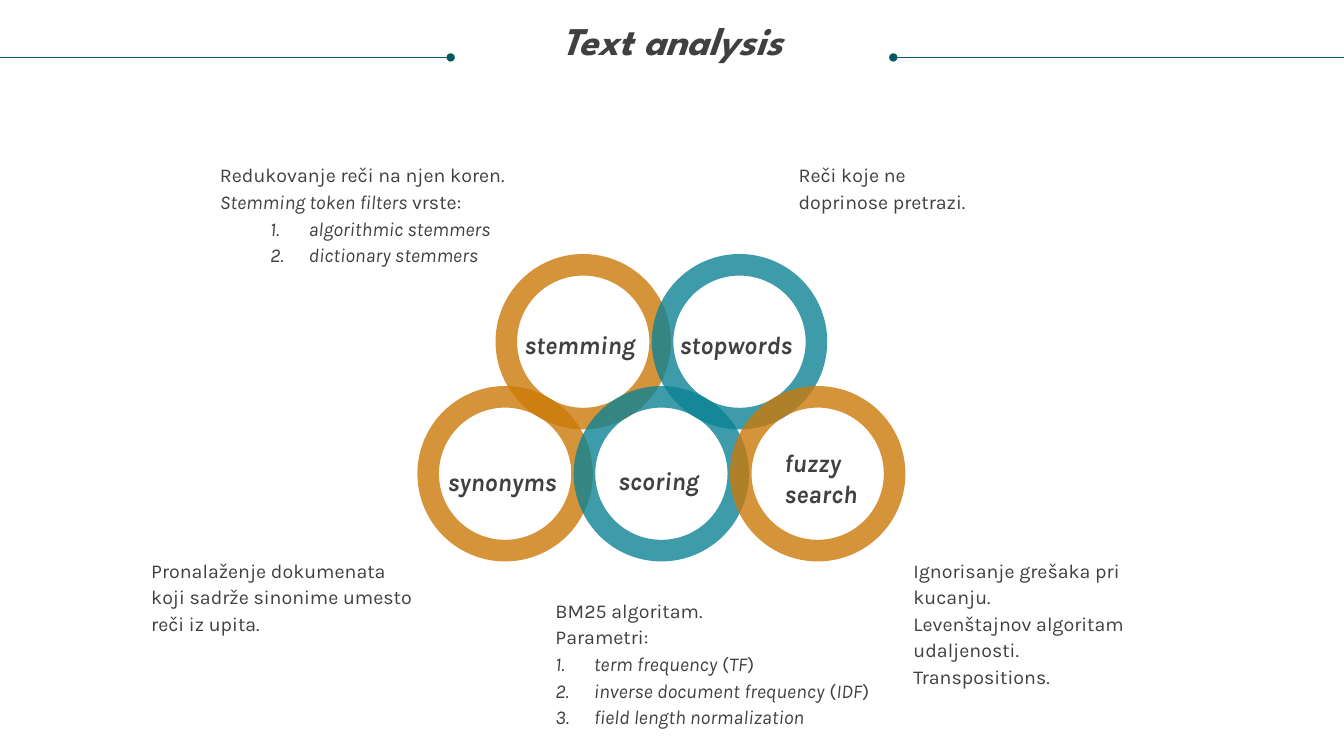
from lxml import etree
from pptx import Presentation
from pptx.dml.color import RGBColor
from pptx.enum.shapes import MSO_CONNECTOR as Connector, MSO_SHAPE as Shape
from pptx.enum.text import MSO_ANCHOR as Anchor, PP_ALIGN as Align
from pptx.oxml.ns import qn
from pptx.util import Inches, Pt

COLORS = {"text": "404040", "line": "085764", "orange": "CB7A09", "teal": "0D8295"}

TITLE = {"name": "League Spartan", "size": Pt(28), "bold": True, "italic": True}
LABEL = {"name": "Karla", "size": Pt(18), "bold": True, "italic": True}
NOTE = {"name": "Karla", "size": Pt(14)}

RING_SIZE, RING_STEP, RING_LEFT = 1.74, 1.55, 4.14
HANGING = 0.38

# top, offset in steps, colours from left to right
RING_ROWS = [
    (2.52, 0.5, ["orange", "teal"]),
    (3.83, 0, ["orange", "teal", "orange"]),
]

# box, line spacing, lines
LABELS = [
    ((5.2, 3.12, 1.2, 0.45), 1.5, ["stemming"]),
    ((6.74, 3.12, 1.2, 0.45), 1.5, ["stopwords"]),
    ((4.44, 4.48, 1.16, 0.45), 1.5, ["synonyms"]),
    ((6.13, 4.47, 0.87, 0.4), 1.5, ["scoring"]),
    ((7.78, 4.44, 0.85, 0.61), 1.0, ["fuzzy", "search"]),
]

# box, plain lines, numbered lines, left margin of the numbered lines;
# asterisks enclose italics
NOTES = [
    ((2.18, 1.59, 3.25, 1.07),
     ["Redukovanje reči na njen koren.", "*Stemming token filters *vrste:"],
     ["*algorithmic stemmers*", "*dictionary stemmers*"], 0.88),
    ((7.92, 1.59, 1.97, 0.53), ["Reči koje ne doprinose pretrazi."], [], 0),
    ((1.5, 5.51, 2.66, 0.8),
     ["Pronalaženje dokumenata koji sadrže sinonime umesto reči iz upita."], [], 0),
    ((5.51, 5.91, 3.34, 1.33),
     ["BM25 algoritam.", "Parametri:"],
     ["*term frequency* (*TF*)", "*inverse document frequency* (*IDF*)",
      "*field length normalization*"], HANGING),
    ((9.06, 5.51, 2.8, 1.07),
     ["Ignorisanje grešaka pri kucanju.", "Levenštajnov algoritam udaljenosti.",
      "Transpositions."], [], 0),
]


def color(name):
    return RGBColor.from_string(COLORS[name])


def add_text_frame(slide, box):
    frame = slide.shapes.add_textbox(*map(Inches, box)).text_frame
    settings = {"word_wrap": True, "vertical_anchor": Anchor.TOP, "margin_left": 0,
                "margin_top": 0, "margin_right": 0, "margin_bottom": 0}
    for name, value in settings.items():
        setattr(frame, name, value)
    return frame


def add_run(paragraph, text, font_format):
    run = paragraph.add_run()
    run.text = text
    for name, value in font_format.items():
        setattr(run.font, name, value)
    run.font.color.rgb = color("text")


def add_paragraphs(frame, lines, font_format, spacing):
    """Fill the frame with lines, switching italics at each asterisk."""
    paragraphs = []
    for index, line in enumerate(lines):
        paragraph = frame.add_paragraph() if index else frame.paragraphs[0]
        paragraph.line_spacing = spacing
        for part, text in enumerate(line.split("*")):
            if text:
                italic = font_format.get("italic", part % 2 == 1)
                add_run(paragraph, text, {**font_format, "italic": italic})
        paragraphs.append(paragraph)
    return paragraphs


def number_paragraph(paragraph, margin):
    properties = paragraph._p.get_or_add_pPr()
    properties.set("marL", str(Inches(margin)))
    properties.set("indent", str(-Inches(HANGING)))
    etree.SubElement(properties, qn("a:buFont"), typeface="Karla")
    etree.SubElement(properties, qn("a:buAutoNum"), type="arabicPeriod")


def add_title(slide, text):
    frame = add_text_frame(slide, (0.25, 0.21, 12.83, 0.85))
    paragraph, = add_paragraphs(frame, [text], TITLE, 0.9)
    paragraph.alignment = Align.CENTER


def add_note(slide, box, plain, numbered, margin):
    frame = add_text_frame(slide, box)
    paragraphs = add_paragraphs(frame, plain + numbered, NOTE, Pt(19))
    for paragraph in paragraphs[len(plain):]:
        number_paragraph(paragraph, margin)


def add_title_line(slide, start, end, dotted_end):
    y = Inches(0.57)
    line = slide.shapes.add_connector(
        Connector.STRAIGHT, Inches(start), y, Inches(end), y)
    line.line.color.rgb = color("line")
    line.line.width = Pt(0.5)
    etree.SubElement(line.line._get_or_add_ln(), qn(dotted_end), type="oval")
    etree.SubElement(line._element.spPr, qn("a:effectLst"))


def add_ring(slide, left, top, color_name):
    ring = slide.shapes.add_shape(
        Shape.DONUT, *map(Inches, (left, top, RING_SIZE, RING_SIZE)))
    ring.adjustments[0] = 0.123
    ring.shadow.inherit = False
    ring.line.fill.background()
    ring.fill.solid()
    ring.fill.fore_color.rgb = color(color_name)
    fill_color = ring._element.spPr.find(".//" + qn("a:srgbClr"))
    etree.SubElement(fill_color, qn("a:alpha"), val="80000")


def main():
    presentation = Presentation()
    presentation.slide_width = Inches(13.33)
    presentation.slide_height = Inches(7.5)
    slide = presentation.slides.add_slide(presentation.slide_layouts[6])

    add_title_line(slide, 8.86, 13.33, "a:headEnd")
    add_title(slide, "Text analysis")
    add_title_line(slide, 0, 4.47, "a:tailEnd")
    for top, offset, names in RING_ROWS:
        for index, name in enumerate(names):
            add_ring(slide, RING_LEFT + (index + offset) * RING_STEP, top, name)
    for note in NOTES:
        add_note(slide, *note)
    for box, spacing, lines in LABELS:
        add_paragraphs(add_text_frame(slide, box), lines, LABEL, spacing)

    presentation.save("out.pptx")


if __name__ == "__main__":
    main()
